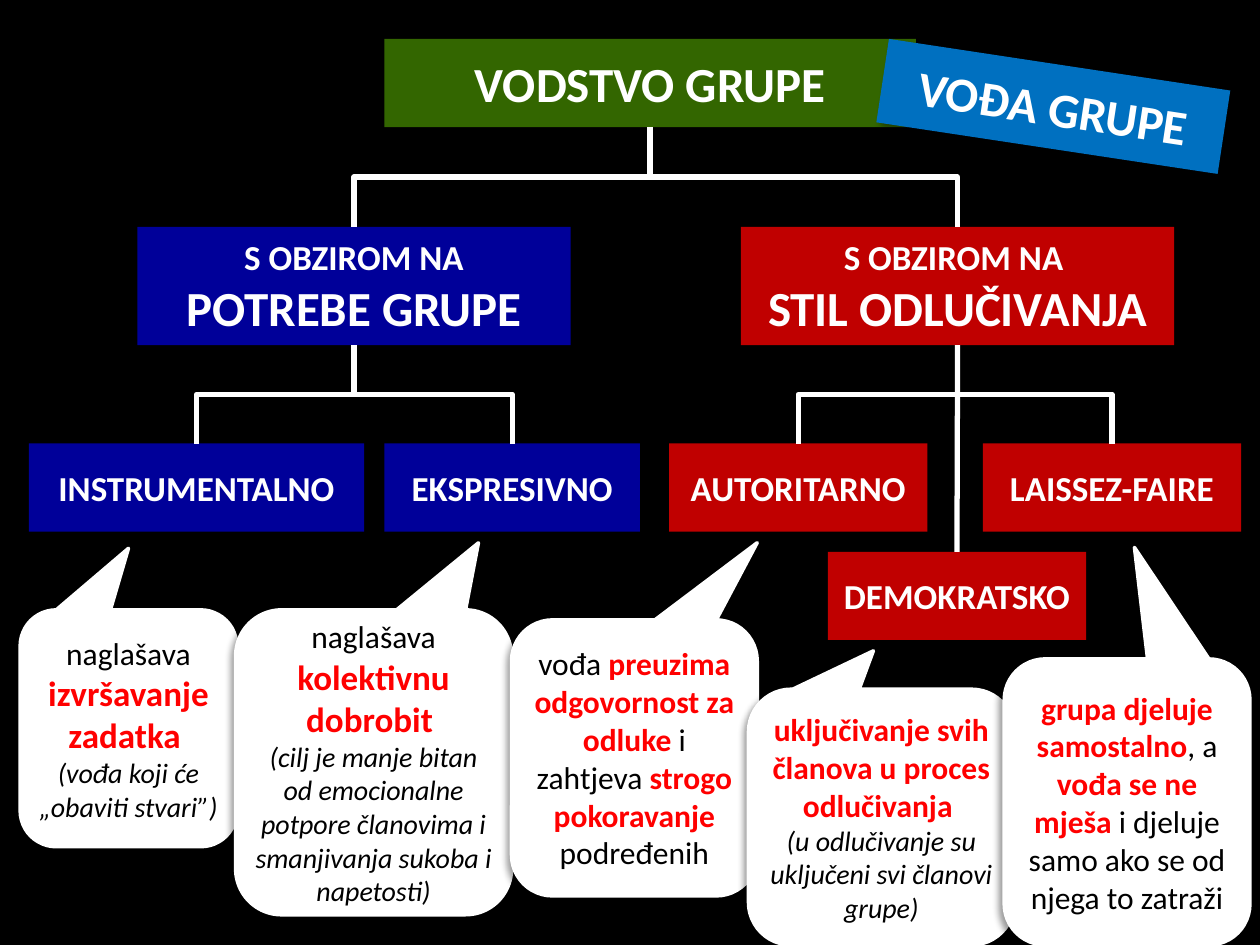
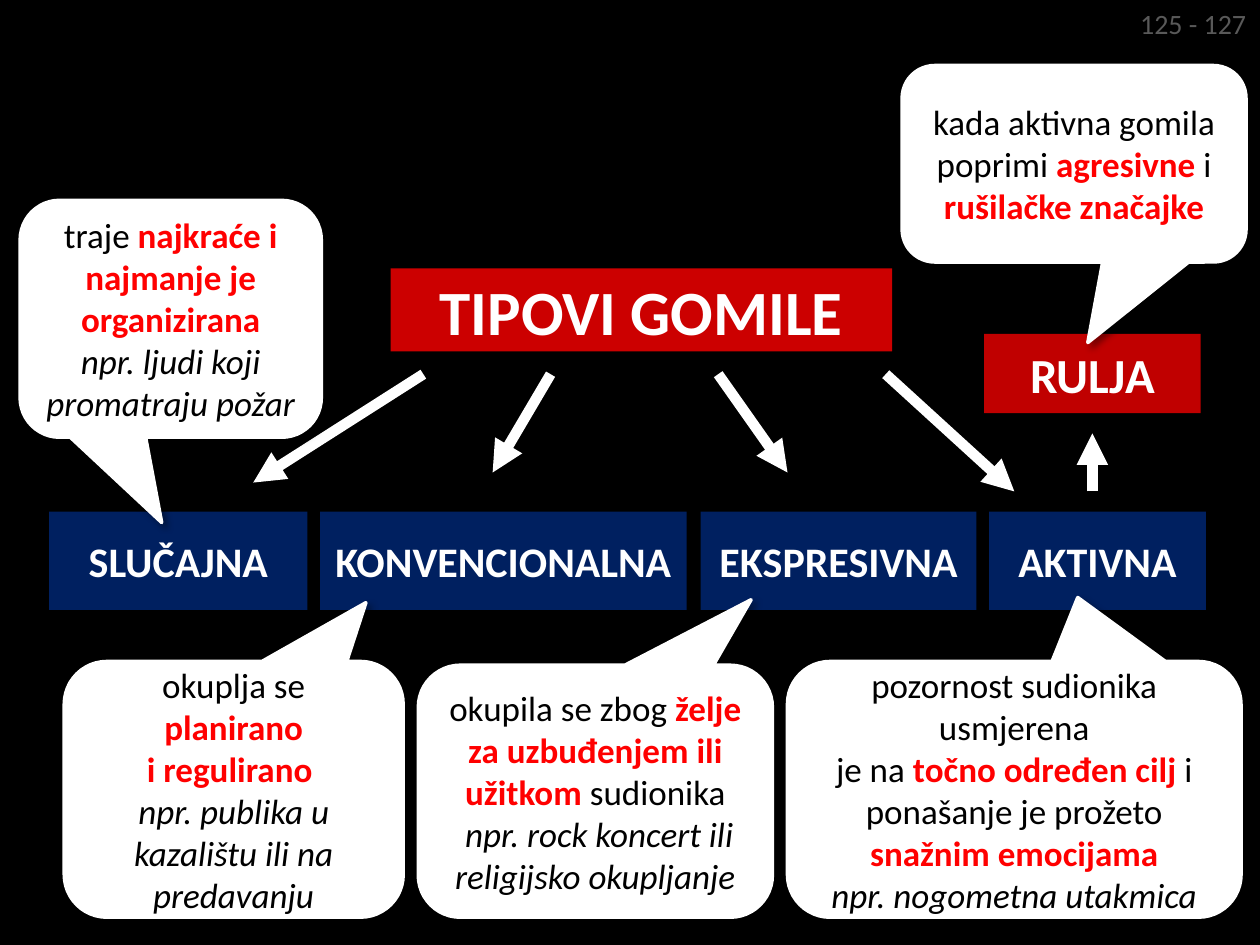
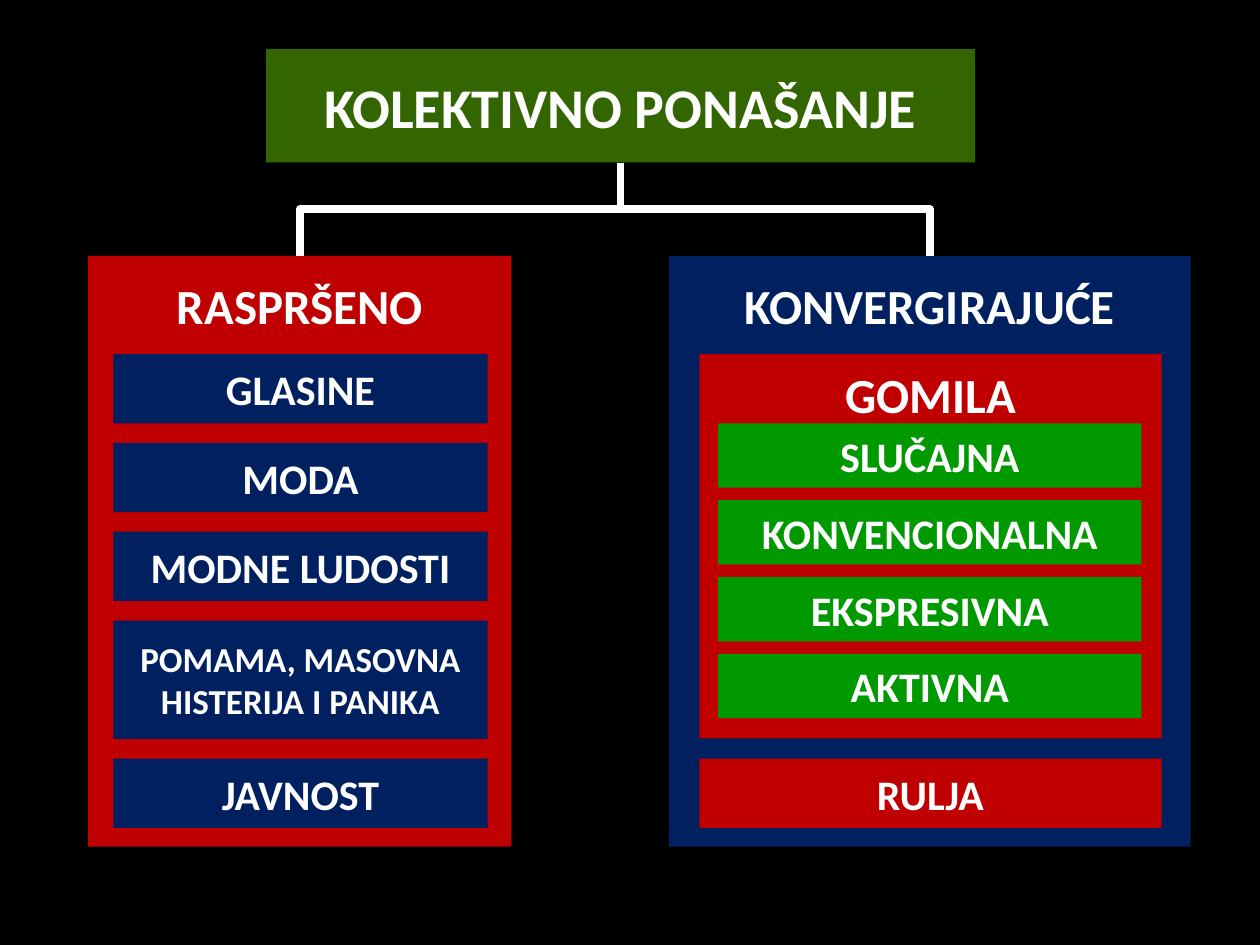
from lxml import etree
from pptx import Presentation
from pptx.dml.color import RGBColor
from pptx.enum import shapes, text
from pptx.oxml.ns import qn
from pptx.util import Inches, Pt

BLACK = RGBColor(0x00, 0x00, 0x00)
WHITE = RGBColor(0xFF, 0xFF, 0xFF)
GRAY = RGBColor(0x59, 0x59, 0x59)
RED = RGBColor(0xFF, 0x00, 0x00)
DARK_RED = RGBColor(0xC0, 0x00, 0x00)
TITLE_RED = RGBColor(0xCC, 0x00, 0x00)
DARK_GREEN = RGBColor(0x33, 0x66, 0x00)
GREEN = RGBColor(0x00, 0x99, 0x00)
BLUE = RGBColor(0x00, 0x00, 0x99)
NAVY = RGBColor(0x00, 0x20, 0x60)
SKY = RGBColor(0x00, 0x70, 0xC0)
FONT = "Calibri"

# Span styles used inside callouts
PLAIN = {"color": BLACK}
KEY = {"color": RED, "bold": True}
EXAMPLE = {"color": BLACK, "italic": True}

# Leadership tree: name -> (parent, place, fill, spans of (text, size))
LEADERSHIP = {
    "leadership": (None, (3.05, 0.31, 4.22, 0.7), DARK_GREEN, [("VODSTVO GRUPE", 28)]),
    "needs": ("leadership", (1.09, 1.8, 3.44, 0.94), BLUE,
              [("S OBZIROM NA ", 20), ("POTREBE GRUPE", 28)]),
    "style": ("leadership", (5.88, 1.8, 3.44, 0.94), DARK_RED,
              [("S OBZIROM NA \n", 20), ("STIL ODLUČIVANJA", 28)]),
    "expressive": ("needs", (3.05, 3.52, 2.03, 0.7), BLUE, [("EKSPRESIVNO", 20)]),
    "instrumental": ("needs", (0.23, 3.52, 2.66, 0.7), BLUE, [("INSTRUMENTALNO", 20)]),
    "authoritarian": ("style", (5.31, 3.52, 2.05, 0.7), DARK_RED, [("AUTORITARNO", 20)]),
    "democratic": ("style", (6.57, 4.38, 2.05, 0.7), DARK_RED, [("DEMOKRATSKO", 20)]),
    "laissez_faire": ("style", (7.8, 3.52, 2.05, 0.7), DARK_RED, [("LAISSEZ-FAIRE", 20)]),
}

# Callouts: (place, pointer tip, shadow angle, paragraphs of (text, style, size))
LEADER_NOTES = [
    ((0.16, 4.84, 1.72, 1.88), (0, -0.76), 45, [
        [("naglašava ", PLAIN, 18), ("izvršavanje zadatka ", KEY, 20)],
        [("(vođa koji će „obaviti stvari”)", EXAMPLE, 16)]]),
    ((1.87, 4.84, 2.19, 2.42), (0.38, -0.72), 135, [
        [("naglašava ", PLAIN, 18), ("kolektivnu dobrobit \n", KEY, 20),
         ("(cilj je manje bitan od emocionalne potpore članovima i "
          "smanjivanja sukoba i napetosti)", EXAMPLE, 16)]]),
    ((4.06, 4.92, 1.95, 2.19), (0.5, -0.78), 135, [
        [("vođa ", PLAIN, 18), ("preuzima odgovornost za odluke ", KEY, 18),
         ("i zahtjeva ", PLAIN, 18), ("strogo pokoravanje ", KEY, 18),
         ("podređenih", PLAIN, 18)]]),
    ((5.94, 5.47, 2.11, 2.03), (-0.03, -0.65), 135, [
        [("uključivanje svih članova u proces odlučivanja \n", KEY, 18),
         ("(u odlučivanje su uključeni svi članovi grupe)", EXAMPLE, 16)]]),
    ((7.97, 5.23, 1.95, 2.27), (0.03, -0.89), 135, [
        [("grupa djeluje samostalno", KEY, 18), (", a ", PLAIN, 18),
         ("vođa se ne mješa ", KEY, 18),
         ("i djeluje samo ako se od njega to zatraži", PLAIN, 18)]]),
]

CROWD_NOTES = [
    ((0.16, 1.59, 2.39, 1.88), (-0.03, 0.86), 45, [
        [("traje ", PLAIN, 20), ("najkraće i najmanje je organizirana", KEY, 20)],
        [("npr. ljudi koji promatraju požar", EXAMPLE, 20)]]),
    ((0.51, 5.25, 2.69, 2.03), (0.39, -0.73), 45, [
        [("okuplja se ", PLAIN, 20), ("planirano", KEY, 20)],
        [("i regulirano ", KEY, 20)],
        [("npr. publika u kazalištu ili na predavanju", EXAMPLE, 20)]]),
    ((3.32, 5.28, 2.81, 2.0), (0.44, -0.76), 45, [
        [("okupila se zbog ", PLAIN, 20), ("želje za uzbuđenjem ili užitkom ", KEY, 20),
         ("sudionika", PLAIN, 20)],
        [(" ", PLAIN, 20), ("npr. rock koncert ili religijsko okupljanje", EXAMPLE, 20)]]),
    ((6.25, 5.25, 3.6, 2.03), (0.14, -0.75), 45, [
        [("pozornost sudionika usmjerena", PLAIN, 20)],
        [("je na ", PLAIN, 20), ("točno određen cilj ", KEY, 20),
         ("i ponašanje je prožeto ", PLAIN, 20), ("snažnim emocijama", KEY, 20)],
        [("npr. nogometna utakmica", EXAMPLE, 20)]]),
    ((7.16, 0.52, 2.73, 1.56), (0.04, 0.91), 45, [
        [("kada aktivna gomila poprimi ", PLAIN, 20), ("agresivne ", KEY, 20),
         ("i ", PLAIN, 20), ("rušilačke značajke", KEY, 20)]]),
]
CROWD_TYPES = [("SLUČAJNA", 0.39, 2.05), ("KONVENCIONALNA", 2.54, 2.91),
               ("EKSPRESIVNA", 5.56, 2.19), ("AKTIVNA", 7.85, 1.72)]
CROWD_ARROWS = [(3.36, 2.97, 2.01, 3.83), (4.37, 2.97, 3.91, 3.75),
                (5.7, 2.97, 6.25, 3.75), (7.03, 2.97, 8.05, 3.9),
                (8.67, 3.9, 8.67, 3.44)]

# Dispersed behaviour: (text, size, height)
DISPERSED = [("GLASINE", 24, 0.55), ("MODA", 24, 0.55), ("MODNE LUDOSTI", 24, 0.55),
             ("POMAMA, MASOVNA HISTERIJA I PANIKA", 20, 0.94), ("JAVNOST", 24, 0.55)]


def add_page(deck):
    page = deck.slides.add_slide(deck.slide_layouts[6])
    page.background.fill.solid()
    page.background.fill.fore_color.rgb = BLACK
    return page


def add_span(para, content, size, color=WHITE, bold=False, italic=False):
    """Add one formatted run; a closing newline becomes a line break."""
    span = para.add_run()
    span.text = content.rstrip("\n")
    font = span.font
    font.name, font.size, font.bold, font.italic = FONT, Pt(size), bold, italic
    font.color.rgb = color
    if content.endswith("\n"):
        para.add_line_break()


def write(shape, paragraphs, align=text.PP_ALIGN.CENTER,
          anchor=text.MSO_ANCHOR.MIDDLE, inset=None, top=None, wrap=True):
    """Fill a shape with paragraphs of (text, style, size) spans."""
    frame = shape.text_frame
    frame.word_wrap, frame.vertical_anchor = wrap, anchor
    if inset is not None:
        frame.margin_left = frame.margin_right = Inches(inset)
        frame.margin_top = frame.margin_bottom = Inches(inset)
    if top is not None:
        frame.margin_top = Inches(top)
    for index, spans in enumerate(paragraphs):
        para = frame.add_paragraph() if index else frame.paragraphs[0]
        para.alignment = align
        for content, style, size in spans:
            add_span(para, content, size, **style)


def add_shadow(shape, angle):
    effects = shape.element.spPr.find(qn("a:effectLst"))
    outer = etree.SubElement(effects, qn("a:outerShdw"), blurRad=str(Pt(4)),
                             dist=str(Pt(3)), dir=str(angle * 60000),
                             algn="tl", rotWithShape="0")
    color = etree.SubElement(outer, qn("a:srgbClr"), val="000000")
    etree.SubElement(color, qn("a:alpha"), val="40000")


def add_filled(page, kind, place, fill, shadow=None):
    shape = page.shapes.add_shape(kind, *map(Inches, place))
    shape.fill.solid()
    shape.fill.fore_color.rgb = fill
    shape.line.fill.background()
    shape.shadow.inherit = False
    if shadow is not None:
        add_shadow(shape, shadow)
    return shape


def add_box(page, place, fill, spans, shadow=None, **layout):
    """Add a rectangle holding bold white (text, size) spans."""
    box = add_filled(page, shapes.MSO_SHAPE.RECTANGLE, place, fill, shadow)
    write(box, [[(content, {"bold": True}, size) for content, size in spans]], **layout)
    return box


def add_heading_box(page, place, fill, heading, top):
    return add_box(page, place, fill, [(heading, 28)],
                   anchor=text.MSO_ANCHOR.TOP, top=top)


def add_notes(page, notes, inset=None):
    for place, tip, angle, paragraphs in notes:
        note = add_filled(page, shapes.MSO_SHAPE.ROUNDED_RECTANGULAR_CALLOUT,
                          place, WHITE, angle)
        note.line.color.rgb = WHITE
        note.line.width = Pt(2)
        note.adjustments[0], note.adjustments[1] = tip
        write(note, paragraphs, inset=inset)


def add_line(page, kind, ends, width):
    line = page.shapes.add_connector(kind, *map(Inches, ends))
    line.line.color.rgb = WHITE
    line.line.width = Pt(width)
    etree.SubElement(line.element.spPr, qn("a:effectLst"))
    return line


def add_branch(page, parent, child, width):
    """Join a parent's bottom to a child's top, by an elbow if they are not aligned."""
    start_x, end_x = parent.left + parent.width // 2, child.left + child.width // 2
    start_y, end_y = parent.top + parent.height, child.top
    across, down = abs(end_x - start_x), end_y - start_y
    aligned = across < Inches(0.05)
    kind = shapes.MSO_CONNECTOR.STRAIGHT if aligned else shapes.MSO_CONNECTOR.ELBOW
    line = add_line(page, kind, (0, 0, 1, 1), width)
    line.begin_connect(parent, 2)
    line.end_connect(child, 0)
    if aligned:
        return
    # A vertical-first elbow is a horizontal one turned by a quarter
    frame = line.element.spPr.find(qn("a:xfrm"))
    for name in ("flipH", "flipV", "rot"):
        frame.attrib.pop(name, None)
    line.left = (start_x + end_x - down) // 2
    line.top = (start_y + end_y - across) // 2
    line.width, line.height = down, across
    if end_x < start_x:
        frame.set("rot", str(90 * 60000))
    else:
        frame.set("rot", str(270 * 60000))
        frame.set("flipH", "1")


def build_leadership(deck):
    page = add_page(deck)
    boxes = {name: add_box(page, place, fill, spans, shadow=45)
             for name, (_, place, fill, spans) in LEADERSHIP.items()}
    for name, (parent, *_) in LEADERSHIP.items():
        if parent:
            add_branch(page, boxes[parent], boxes[name], 3)
    add_notes(page, LEADER_NOTES, inset=0.04)
    leader = add_box(page, (6.99, 0.51, 2.74, 0.67), SKY, [("VOĐA GRUPE", 28)], shadow=45)
    leader.rotation = 8.6


def build_crowds(deck):
    page = add_page(deck)
    add_box(page, (3.1, 2.13, 3.98, 0.66), TITLE_RED, [("TIPOVI GOMILE", 36)])
    for ends in CROWD_ARROWS:
        arrow = add_line(page, shapes.MSO_CONNECTOR.STRAIGHT, ends, 6)
        stroke = arrow.element.spPr.find(qn("a:ln"))
        etree.SubElement(stroke, qn("a:tailEnd"), type="triangle")
    for name, left, width in CROWD_TYPES:
        add_box(page, (left, 4.06, width, 0.78), NAVY, [(name, 24)])
    add_box(page, (7.81, 2.65, 1.72, 0.63), DARK_RED, [("RULJA", 28)])
    add_notes(page, CROWD_NOTES)
    page_range = page.shapes.add_textbox(*map(Inches, (8.93, 0, 1.06, 0.37)))
    write(page_range, [[("125 - 127", {"color": GRAY}, 16)]],
          align=text.PP_ALIGN.RIGHT, anchor=text.MSO_ANCHOR.TOP, wrap=False)


def build_collective(deck):
    page = add_page(deck)
    title = add_box(page, (2.11, 0.39, 5.63, 0.9), DARK_GREEN, [("KOLEKTIVNO PONAŠANJE", 32)])
    dispersed = add_heading_box(page, (0.7, 2.03, 3.36, 4.69), DARK_RED, "RASPRŠENO", 0.16)
    converging = add_heading_box(page, (5.31, 2.03, 4.14, 4.69), NAVY, "KONVERGIRAJUĆE", 0.16)
    for child in (dispersed, converging):
        add_branch(page, title, child, 4.5)
    top = 2.81
    for name, size, height in DISPERSED:
        add_box(page, (0.9, top, 2.97, height), NAVY, [(name, size)])
        top += height + 0.155
    add_heading_box(page, (5.55, 2.81, 3.67, 3.05), DARK_RED, "GOMILA", 0.08)
    add_box(page, (5.55, 6.02, 3.67, 0.55), DARK_RED, [("RULJA", 24)])
    for index, (name, *_) in enumerate(CROWD_TYPES):
        add_box(page, (5.7, 3.36 + 0.61 * index, 3.36, 0.51), GREEN, [(name, 24)])


def main():
    deck = Presentation()
    deck.slide_width, deck.slide_height = Inches(10), Inches(7.5)
    build_leadership(deck)
    build_crowds(deck)
    build_collective(deck)
    deck.save("out.pptx")


if __name__ == "__main__":
    main()
